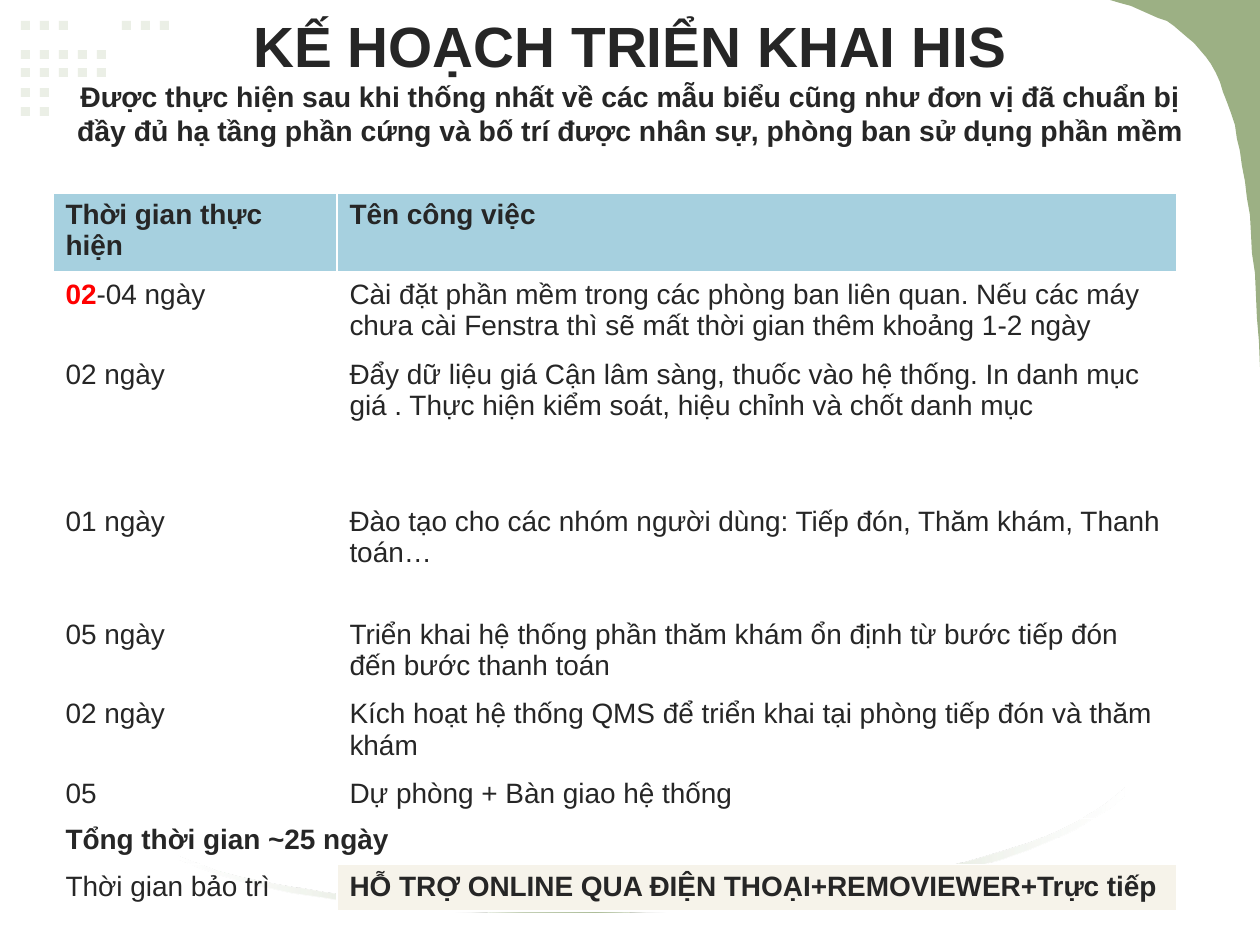
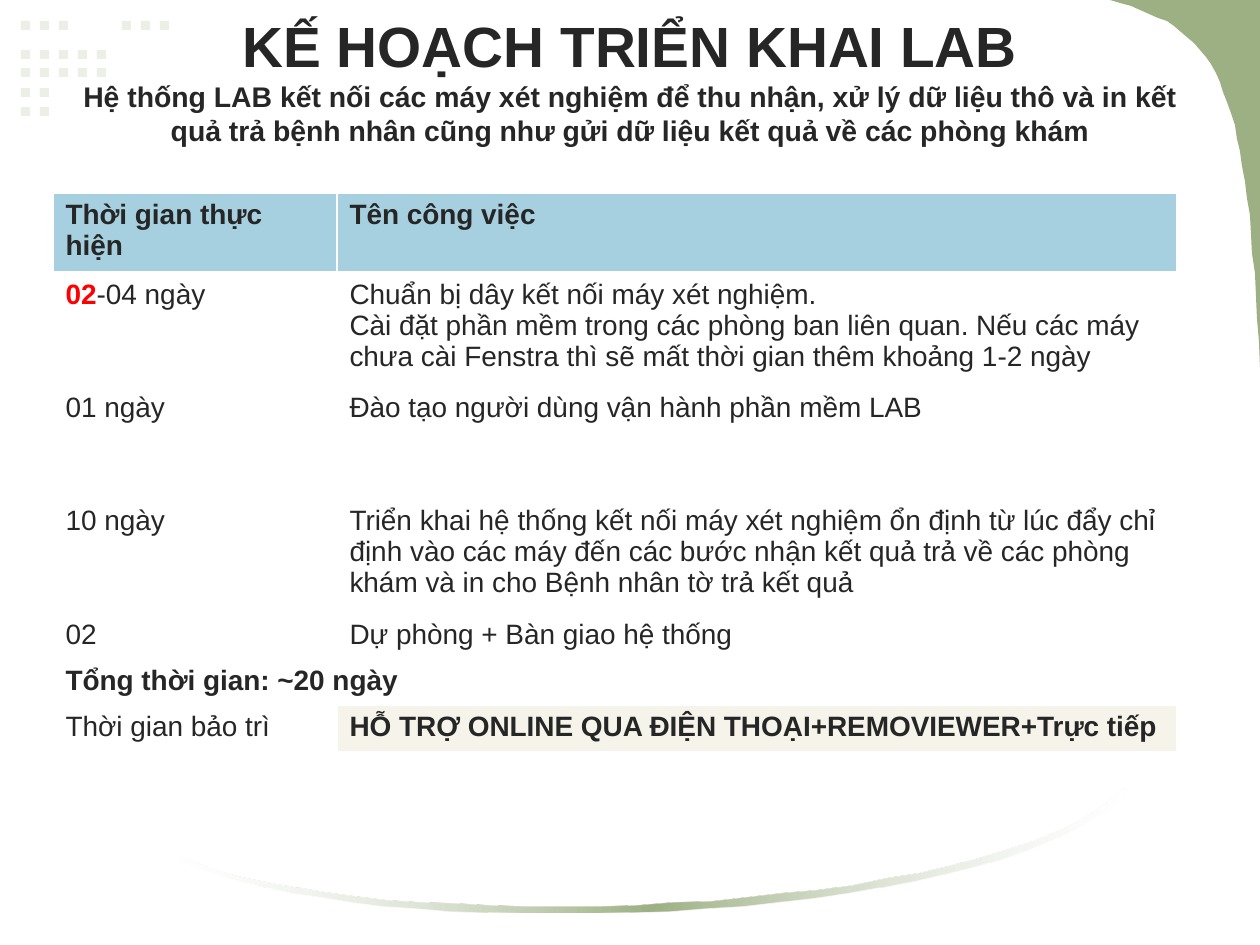
"""Builds the two rollout-plan slides: a headline and a schedule table each."""
from lxml import etree
from pptx import Presentation
from pptx.dml.color import RGBColor
from pptx.enum.shapes import MSO_SHAPE
from pptx.enum.text import MSO_ANCHOR, PP_ALIGN
from pptx.oxml import parse_xml
from pptx.util import Pt

PX = 914400 // 126
RECT = MSO_SHAPE.RECTANGLE
MIDDLE = MSO_ANCHOR.MIDDLE
CENTER = PP_ALIGN.CENTER
NS = "http://schemas.openxmlformats.org/drawingml/2006/main"
FONT = "Arial"
COLORS = {"text": "262626", "alert": "FF0000", "head": "A6D0DF", "support": "F6F3EA",
          "green": "9CB084", "dot": "EBEFE6", "white": "FFFFFF"}

HEADER = (73, "Thời gian thực hiện", "Tên công việc")
INSTALL = ("Cài đặt phần mềm trong các phòng ban liên quan. Nếu các máy chưa cài "
           "Fenstra thì sẽ mất thời gian thêm khoảng 1-2 ngày")
HANDOVER = "Dự phòng + Bàn giao hệ thống"
SUPPORT = (45, "Thời gian bảo trì", "HỖ TRỢ ONLINE QUA ĐIỆN THOẠI+REMOVIEWER+Trực tiếp")
URGENT = "02"
FIRST_PERIOD = "02-04 ngày"

PLANS = [
    {"title": "KẾ HOẠCH TRIỂN KHAI HIS",
     "subtitle": "Được thực hiện sau khi thống nhất về các mẫu biểu cũng như đơn vị đã chuẩn bị "
                 "đầy đủ hạ tầng phần cứng và bố trí được nhân sự, phòng ban sử dụng phần mềm",
     "tasks": [
         (79, FIRST_PERIOD, INSTALL),
         (147, "02 ngày", "Đẩy dữ liệu giá Cận lâm sàng, thuốc vào hệ thống. In danh mục giá . "
                          "Thực hiện kiểm soát, hiệu chỉnh và chốt danh mục"),
         (113, "01 ngày", "Đào tạo cho các nhóm người dùng: Tiếp đón, Thăm khám, Thanh toán…"),
         (79, "05 ngày", "Triển khai hệ thống phần thăm khám ổn định từ bước tiếp đón "
                         "đến bước thanh toán"),
         (79, "02 ngày", "Kích hoạt hệ thống QMS để triển khai tại phòng tiếp đón và thăm khám"),
         (46, "05", HANDOVER)],
     "total": "Tổng thời gian ~25 ngày"},
    {"title": "KẾ HOẠCH TRIỂN KHAI LAB",
     "subtitle": "Hệ thống LAB kết nối các máy xét nghiệm để thu nhận, xử lý dữ liệu thô và in kết "
                 "quả trả bệnh nhân cũng như gửi dữ liệu kết quả về các phòng khám",
     "tasks": [
         (106, FIRST_PERIOD, "Chuẩn bị dây kết nối máy xét nghiệm.\n" + INSTALL),
         (113, "01 ngày", "Đào tạo người dùng vận hành phần mềm LAB"),
         (106, "10 ngày", "Triển khai hệ thống kết nối máy xét nghiệm ổn định từ lúc đẩy chỉ định "
                          "vào các máy đến các bước nhận kết quả trả về các phòng khám và in cho "
                          "Bệnh nhân tờ trả kết quả"),
         (46, "02", HANDOVER)],
     "total": "Tổng thời gian: ~20 ngày"},
]

DOT_SIZE, DOT_LEFT, DOT_STEP, DOT_GAP = 9, 21, 19, 44
DOT_ROWS = [(21, 3), (50, 5), (68, 5), (88, 2), (107, 2)]
CORNER = [(1110, 0), (1260, 0), (1260, 367), (1259, 341), (1257, 318), (1256, 295), (1255, 273),
          (1252, 253), (1251, 233), (1250, 215), (1247, 198), (1245, 181), (1242, 166),
          (1240, 151), (1237, 139), (1235, 125), (1231, 113), (1227, 102), (1223, 92), (1220, 82),
          (1216, 73), (1211, 64), (1206, 57), (1200, 50), (1194, 43), (1188, 38), (1181, 32),
          (1174, 26), (1167, 21), (1158, 18), (1149, 14), (1140, 10), (1131, 6), (1120, 3)]
SWOOSH = [(1124, 788), (1124, 796), (1110, 808), (1092, 819), (1074, 830), (1052, 840),
          (1028, 850), (1002, 859), (974, 867), (945, 874), (914, 881), (882, 887), (848, 893),
          (814, 898), (777, 902), (742, 906), (706, 908), (669, 911), (631, 912), (595, 913),
          (558, 913), (522, 913), (485, 912), (450, 911), (416, 908), (383, 906), (352, 902),
          (321, 897), (292, 893), (265, 887), (241, 881), (217, 874), (197, 867), (179, 859),
          (179, 856), (197, 863), (218, 871), (242, 877), (267, 882), (295, 887), (324, 892),
          (354, 896), (387, 900), (420, 902), (455, 903), (490, 905), (525, 906), (562, 906),
          (600, 906), (636, 905), (673, 902), (711, 901), (747, 897), (782, 893), (818, 890),
          (852, 885), (886, 878), (919, 873), (949, 866), (978, 858), (1005, 850), (1031, 842),
          (1055, 832), (1076, 822), (1094, 811), (1110, 800)]
TABLE_LEFT, TABLE_TOP, COLUMNS = 53, 193, (284, 840)


def rgb(name):
    return RGBColor.from_string(COLORS[name])


def paint(sp, color):
    sp.fill.solid()
    sp.fill.fore_color.rgb = rgb(color)
    sp.line.fill.background()
    sp.shadow.inherit = False


def style(r, size, bold, color="text"):
    r.font.name, r.font.size, r.font.bold = FONT, Pt(size), bold
    r.font.color.rgb = rgb(color)


def add_outline(s, points):
    builder = s.shapes.build_freeform(*points[0], scale=PX)
    builder.add_line_segments(points[1:], close=True)
    sp = builder.convert_to_shape()
    paint(sp, "green")
    return sp


def fade_ends(sp):
    end = f'<a:srgbClr val="{COLORS["white"]}"><a:alpha val="30000"/></a:srgbClr>'
    gradient = parse_xml(
        f'<a:gradFill xmlns:a="{NS}" rotWithShape="1"><a:gsLst><a:gs pos="0">{end}</a:gs>'
        f'<a:gs pos="50000"><a:srgbClr val="{COLORS["green"]}"/></a:gs>'
        f'<a:gs pos="100000">{end}</a:gs></a:gsLst><a:lin ang="0" scaled="0"/></a:gradFill>')
    props = sp._element.spPr
    props.replace(props.find(f"{{{NS}}}solidFill"), gradient)


def add_decor(s):
    dots = [(DOT_LEFT + DOT_STEP * i, y) for y, count in DOT_ROWS for i in range(count)]
    second_group = DOT_LEFT + DOT_STEP * 3 + DOT_GAP
    dots += [(second_group + DOT_STEP * i, DOT_ROWS[0][0]) for i in range(3)]
    for x, y in dots:
        paint(s.shapes.add_shape(RECT, x * PX, y * PX, DOT_SIZE * PX, DOT_SIZE * PX), "dot")
    add_outline(s, CORNER)
    fade_ends(add_outline(s, SWOOSH))


def add_title(s, title, subtitle):
    tf = s.shapes.add_textbox(63 * PX, 0, 1134 * PX, 158 * PX).text_frame
    tf.word_wrap, tf.vertical_anchor = True, MIDDLE
    p = tf.paragraphs[0]
    p.text = f"{title}\v{subtitle}"
    p.alignment = CENTER
    for r, size in zip(p.runs, (32.4, 16.2)):
        style(r, size, True)


def add_borders(cell, bottom):
    props = cell._tc.get_or_add_tcPr()
    for i, (side, width) in enumerate((("L", 1), ("R", 1), ("T", 1), ("B", bottom))):
        line = etree.Element(f"{{{NS}}}ln{side}", w=str(Pt(width)))
        fill = etree.SubElement(line, f"{{{NS}}}solidFill")
        etree.SubElement(fill, f"{{{NS}}}srgbClr", val=COLORS["white"])
        props.insert(i, line)


def fill_cell(cell, text, bold=False, fill=None):
    tf = cell.text_frame
    tf.text = text
    if text == FIRST_PERIOD:
        p = tf.paragraphs[0]
        p.text = URGENT
        p.add_run().text = text[len(URGENT):]
    for p in tf.paragraphs:
        for r in p.runs:
            urgent = r.text == URGENT and text == FIRST_PERIOD
            style(r, 16, bold or urgent, "alert" if urgent else "text")
    if fill:
        cell.fill.solid()
        cell.fill.fore_color.rgb = rgb(fill)
    else:
        cell.fill.background()
    add_borders(cell, 3 if fill == "head" else 1)


def add_schedule(s, tasks, total):
    rows = [HEADER, *tasks, (46, total, ""), SUPPORT]
    height = sum(row[0] for row in rows)
    table = s.shapes.add_table(len(rows), 2, TABLE_LEFT * PX, TABLE_TOP * PX,
                               sum(COLUMNS) * PX, height * PX).table
    table.horz_banding = False
    for column, width in zip(table.columns, COLUMNS):
        column.width = width * PX
    for i, (row_height, period, task) in enumerate(rows):
        table.rows[i].height = row_height * PX
        head, is_total, support = i == 0, i == len(rows) - 2, i == len(rows) - 1
        fill = "head" if head else None
        fill_cell(table.cell(i, 0), period, head or is_total, fill)
        fill_cell(table.cell(i, 1), task, head or support, "support" if support else fill)
        if is_total:
            table.cell(i, 0).merge(table.cell(i, 1))


def main():
    prs = Presentation()
    prs.slide_width, prs.slide_height = 1260 * PX, 945 * PX
    for plan in PLANS:
        s = prs.slides.add_slide(prs.slide_layouts[6])
        add_decor(s)
        add_title(s, plan["title"], plan["subtitle"])
        add_schedule(s, plan["tasks"], plan["total"])
    prs.save("out.pptx")


if __name__ == "__main__":
    main()
